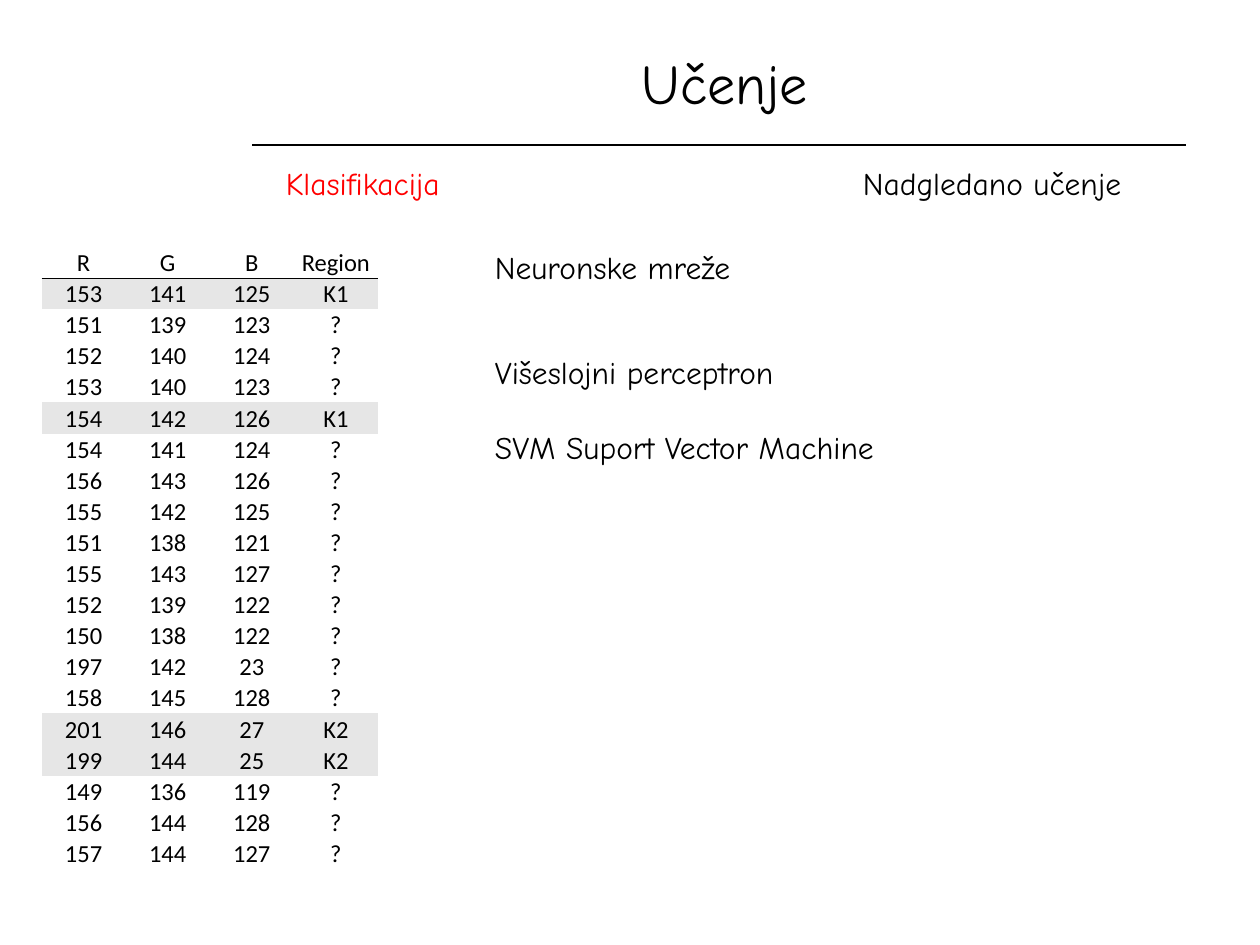
from typing import NamedTuple

from lxml.etree import SubElement
from pptx import Presentation
from pptx.dml.color import RGBColor
from pptx.enum.shapes import MSO_CONNECTOR
from pptx.enum.text import MSO_ANCHOR, PP_ALIGN
from pptx.oxml import parse_xml
from pptx.oxml.ns import nsdecls, qn
from pptx.util import Inches, Pt

BLACK = RGBColor(0x00, 0x00, 0x00)
RED = RGBColor(0xFF, 0x00, 0x00)
GRAY = RGBColor(0xE6, 0xE6, 0xE6)
TEXT_FONT = "Comic Neue"
TABLE_FONT = "Calibri"
NO_STYLE = "{2D5ABB26-0587-4C30-8999-92F81FD0307C}"
UNKNOWN = "?"


class Label(NamedTuple):
    text: str
    left: float
    top: float
    width: float
    height: float = 0.4
    size: int = 18
    color: RGBColor = BLACK
    align: PP_ALIGN = PP_ALIGN.LEFT
    anchor: MSO_ANCHOR = MSO_ANCHOR.TOP
    gap: float = 0


class Sample(NamedTuple):
    red: int
    green: int
    blue: int
    region: str = UNKNOWN


LABELS = [
    Label("Učenje", 2, 0.28, 7.5, 0.75, size=32,
          align=PP_ALIGN.CENTER, anchor=MSO_ANCHOR.MIDDLE),
    Label("Nadgledano učenje", 6.75, 1.25, 2.75),
    Label("Neuronske mreže", 3.83, 1.92, 5),
    Label("Klasifikacija", 2.17, 1.25, 2.75, color=RED),
    Label("Višeslojni perceptron\nSVM Suport Vector Machine",
          3.83, 2.75, 4.75, 1.01, gap=21.5),
]

HEADERS = ("R", "G", "B", "Region")
SAMPLES = [
    Sample(153, 141, 125, "K1"),
    Sample(151, 139, 123),
    Sample(152, 140, 124),
    Sample(153, 140, 123),
    Sample(154, 142, 126, "K1"),
    Sample(154, 141, 124),
    Sample(156, 143, 126),
    Sample(155, 142, 125),
    Sample(151, 138, 121),
    Sample(155, 143, 127),
    Sample(152, 139, 122),
    Sample(150, 138, 122),
    Sample(197, 142, 23),
    Sample(158, 145, 128),
    Sample(201, 146, 27, "K2"),
    Sample(199, 144, 25, "K2"),
    Sample(149, 136, 119),
    Sample(156, 144, 128),
    Sample(157, 144, 127),
]


def format_runs(paragraph, font: str, size: int, color: RGBColor) -> None:
    for run in paragraph.runs:
        run.font.name = font
        run.font.size = Pt(size)
        run.font.color.rgb = color


def draw_label(slide, label: Label) -> None:
    shape = slide.shapes.add_textbox(
        Inches(label.left), Inches(label.top),
        Inches(label.width), Inches(label.height))
    text_frame = shape.text_frame
    text_frame.word_wrap = True
    text_frame.vertical_anchor = label.anchor
    text_frame.text = label.text
    for index, paragraph in enumerate(text_frame.paragraphs):
        paragraph.alignment = label.align
        if index:
            paragraph.space_before = Pt(label.gap)
        format_runs(paragraph, TEXT_FONT, label.size, label.color)


def draw_rule(slide) -> None:
    rule = slide.shapes.add_connector(
        MSO_CONNECTOR.STRAIGHT,
        Inches(2), Inches(1.15), Inches(9.41), Inches(1.15))
    rule.line.color.rgb = BLACK
    rule.line.width = Pt(0.75)
    SubElement(rule._element.spPr, qn("a:effectLst"))


def underline_cell(cell) -> None:
    border = parse_xml(
        f'<a:lnB {nsdecls("a")} w="{Pt(0.5)}"><a:solidFill>'
        f'<a:srgbClr val="{BLACK}"/></a:solidFill></a:lnB>')
    cell._tc.get_or_add_tcPr().insert(0, border)


def fill_cell(cell, text: str, shaded: bool) -> None:
    cell.margin_left = cell.margin_right = cell.margin_top = Inches(0.01)
    cell.margin_bottom = 0
    cell.vertical_anchor = MSO_ANCHOR.BOTTOM
    if shaded:
        cell.fill.solid()
        cell.fill.fore_color.rgb = GRAY
    else:
        cell.fill.background()
    cell.text_frame.text = text
    paragraph = cell.text_frame.paragraphs[0]
    paragraph.alignment = PP_ALIGN.CENTER
    format_runs(paragraph, TABLE_FONT, 14, BLACK)


def draw_samples(slide) -> None:
    rows = [HEADERS, *SAMPLES]
    table = slide.shapes.add_table(
        len(rows), len(HEADERS),
        Inches(0.33), Inches(1.96), Inches(2.67), Inches(4.88)).table
    table.first_row = False
    table.horz_banding = False
    table._tbl.tblPr.find(qn("a:tableStyleId")).text = NO_STYLE
    for row_index, row in enumerate(rows):
        shaded = row_index > 0 and row[-1] != UNKNOWN
        for column_index, value in enumerate(row):
            fill_cell(table.cell(row_index, column_index), str(value), shaded)
    for column_index in range(len(HEADERS)):
        underline_cell(table.cell(0, column_index))


def main() -> None:
    presentation = Presentation()
    presentation.slide_width = Inches(10)
    presentation.slide_height = Inches(7.5)
    slide = presentation.slides.add_slide(presentation.slide_layouts[6])
    draw_rule(slide)
    draw_samples(slide)
    for label in LABELS:
        draw_label(slide, label)
    presentation.save("out.pptx")


if __name__ == "__main__":
    main()
